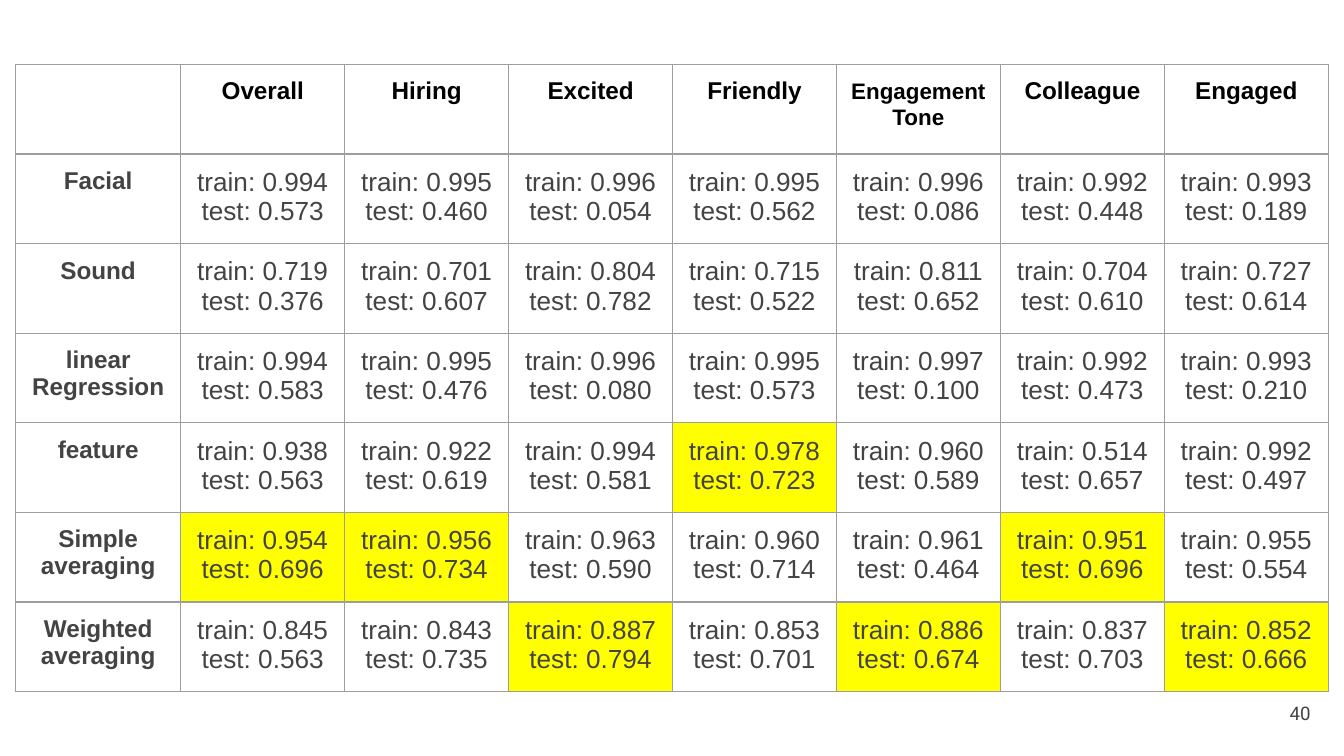
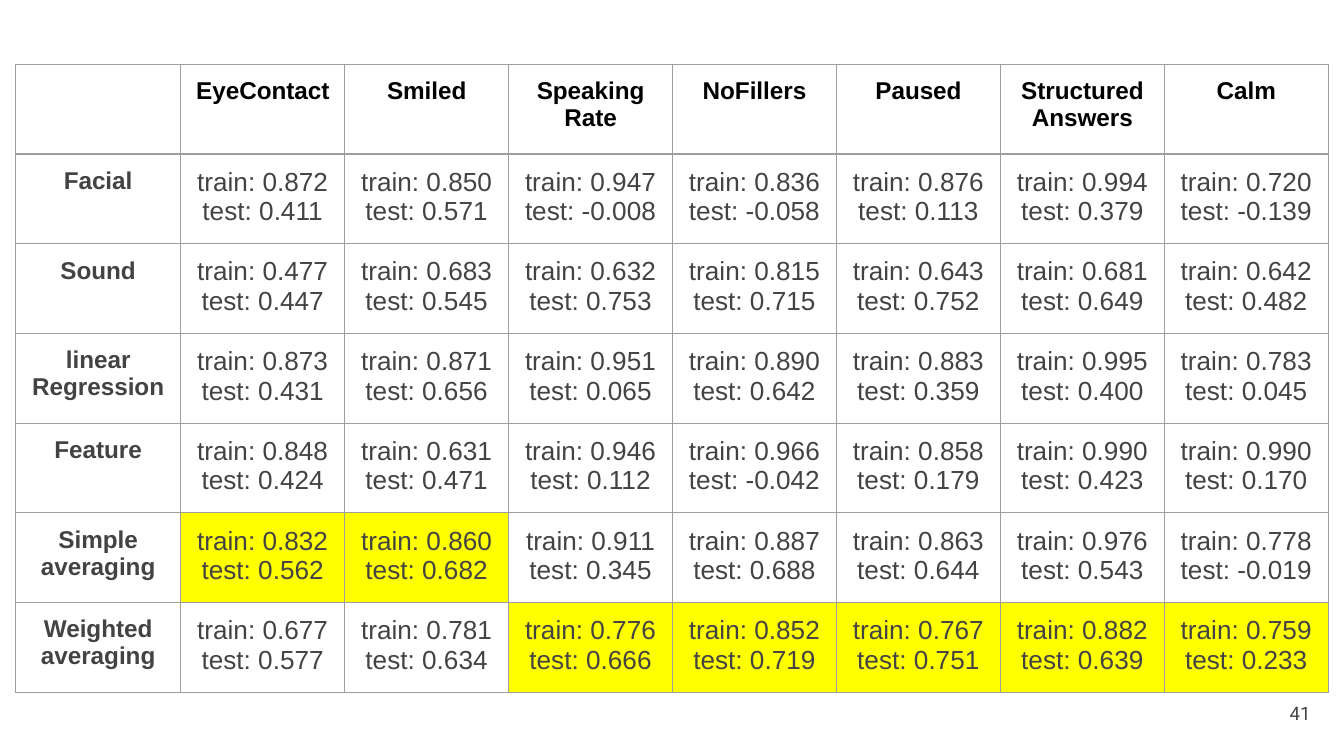
from lxml import etree
from pptx import Presentation
from pptx.dml.color import RGBColor
from pptx.enum.text import MSO_ANCHOR, PP_ALIGN
from pptx.oxml.ns import qn
from pptx.util import Inches, Pt

CENTER, RIGHT = PP_ALIGN.CENTER, PP_ALIGN.RIGHT
MIDDLE = MSO_ANCHOR.MIDDLE

COLORS = {"heading": "000000", "text": "434343", "grid": "9E9E9E", "best": "FFFF00"}
TABLE_FONT, NUMBER_FONT = "Arial", "Roboto"
HEADING_SIZE, SMALL_HEADING_SIZE, SCORE_SIZE, NUMBER_SIZE = 13, 12, 14, 10
SMALL_HEADING = "Engagement Tone"

SLIDE_WIDTH = 10
SLIDE_HEIGHT = SLIDE_WIDTH * 9 / 16
TABLE_TOP = 0.48
MODEL_WIDTH, TRAIT_WIDTH, ROW_HEIGHT = 1.23, 1.22, 2 / 3
MARGIN = Inches(0.1)
GRID_WIDTH = Pt(0.75)

# Each score is (train, test); "best" names the highlighted model of each trait.
RESULTS = [
    {
        "number": 40,
        "traits": ["Overall", "Hiring", "Excited", "Friendly",
                   "Engagement Tone", "Colleague", "Engaged"],
        "best": ["Simple averaging", "Simple averaging", "Weighted averaging", "feature",
                 "Weighted averaging", "Simple averaging", "Weighted averaging"],
        "scores": {
            "Facial": [(0.994, 0.573), (0.995, 0.460), (0.996, 0.054), (0.995, 0.562),
                       (0.996, 0.086), (0.992, 0.448), (0.993, 0.189)],
            "Sound": [(0.719, 0.376), (0.701, 0.607), (0.804, 0.782), (0.715, 0.522),
                      (0.811, 0.652), (0.704, 0.610), (0.727, 0.614)],
            "linear Regression": [(0.994, 0.583), (0.995, 0.476), (0.996, 0.080), (0.995, 0.573),
                                  (0.997, 0.100), (0.992, 0.473), (0.993, 0.210)],
            "feature": [(0.938, 0.563), (0.922, 0.619), (0.994, 0.581), (0.978, 0.723),
                        (0.960, 0.589), (0.514, 0.657), (0.992, 0.497)],
            "Simple averaging": [(0.954, 0.696), (0.956, 0.734), (0.963, 0.590), (0.960, 0.714),
                                 (0.961, 0.464), (0.951, 0.696), (0.955, 0.554)],
            "Weighted averaging": [(0.845, 0.563), (0.843, 0.735), (0.887, 0.794), (0.853, 0.701),
                                   (0.886, 0.674), (0.837, 0.703), (0.852, 0.666)],
        },
    },
    {
        "number": 41,
        "traits": ["EyeContact", "Smiled", "Speaking Rate", "NoFillers",
                   "Paused", "Structured Answers", "Calm"],
        "best": ["Simple averaging"] * 2 + ["Weighted averaging"] * 5,
        "scores": {
            "Facial": [(0.872, 0.411), (0.850, 0.571), (0.947, -0.008), (0.836, -0.058),
                       (0.876, 0.113), (0.994, 0.379), (0.720, -0.139)],
            "Sound": [(0.477, 0.447), (0.683, 0.545), (0.632, 0.753), (0.815, 0.715),
                      (0.643, 0.752), (0.681, 0.649), (0.642, 0.482)],
            "linear Regression": [(0.873, 0.431), (0.871, 0.656), (0.951, 0.065), (0.890, 0.642),
                                  (0.883, 0.359), (0.995, 0.400), (0.783, 0.045)],
            "Feature": [(0.848, 0.424), (0.631, 0.471), (0.946, 0.112), (0.966, -0.042),
                        (0.858, 0.179), (0.990, 0.423), (0.990, 0.170)],
            "Simple averaging": [(0.832, 0.562), (0.860, 0.682), (0.911, 0.345), (0.887, 0.688),
                                 (0.863, 0.644), (0.976, 0.543), (0.778, -0.019)],
            "Weighted averaging": [(0.677, 0.577), (0.781, 0.634), (0.776, 0.666), (0.852, 0.719),
                                   (0.767, 0.751), (0.882, 0.639), (0.759, 0.233)],
        },
    },
]


def write(frame, lines, font_name, size, color, align, bold=False):
    frame.text = "\n".join(lines)
    for paragraph in frame.paragraphs:
        paragraph.alignment = align
        font = paragraph.font
        font.name, font.size, font.bold = font_name, Pt(size), bold
        font.color.rgb = RGBColor.from_string(COLORS[color])


def shrink_words(paragraph):
    """Set the words in the small heading size; the space keeps the full size."""
    first, last = paragraph.text.split(" ")
    paragraph.runs[0].text = first
    paragraph.add_run().text = " "
    paragraph.add_run().text = last
    for word in paragraph.runs[::2]:
        word.font.size = Pt(SMALL_HEADING_SIZE)


def set_margins(holder):
    holder.margin_left = holder.margin_right = MARGIN
    holder.margin_top = holder.margin_bottom = MARGIN


def format_cell(cell, highlighted=False):
    set_margins(cell)
    properties = cell._tc.get_or_add_tcPr()
    for side in ("a:lnL", "a:lnR", "a:lnT", "a:lnB"):
        border = etree.SubElement(properties, qn(side), w=str(GRID_WIDTH))
        fill = etree.SubElement(border, qn("a:solidFill"))
        etree.SubElement(fill, qn("a:srgbClr"), val=COLORS["grid"])
    if highlighted:
        cell.fill.solid()
        cell.fill.fore_color.rgb = RGBColor.from_string(COLORS["best"])
    else:
        cell.fill.background()


def add_score_table(slide, result):
    traits, scores = result["traits"], result["scores"]
    widths = [MODEL_WIDTH] + [TRAIT_WIDTH] * len(traits)
    row_count = len(scores) + 1
    table_width = sum(widths)
    table = slide.shapes.add_table(
        row_count, len(widths), Inches((SLIDE_WIDTH - table_width) / 2), Inches(TABLE_TOP),
        Inches(table_width), Inches(ROW_HEIGHT * row_count)).table
    table.first_row = table.horz_banding = False
    for column, width in zip(table.columns, widths):
        column.width = Inches(width)
    for row in table.rows:
        row.height = Inches(ROW_HEIGHT)

    format_cell(table.cell(0, 0))
    for c, trait in enumerate(traits, 1):
        heading = table.cell(0, c)
        format_cell(heading)
        write(heading.text_frame, [trait], TABLE_FONT, HEADING_SIZE, "heading", CENTER, bold=True)
        if trait == SMALL_HEADING:
            shrink_words(heading.text_frame.paragraphs[0])
    for r, (model, pairs) in enumerate(scores.items(), 1):
        label = table.cell(r, 0)
        format_cell(label)
        write(label.text_frame, [model], TABLE_FONT, HEADING_SIZE, "text", CENTER, bold=True)
        for c, ((train, test), best) in enumerate(zip(pairs, result["best"]), 1):
            score = table.cell(r, c)
            format_cell(score, highlighted=model == best)
            write(score.text_frame, [f"train: {train:.3f}", f"test: {test:.3f}"],
                  TABLE_FONT, SCORE_SIZE, "text", CENTER)


def add_slide_number(slide, number):
    frame = slide.shapes.add_textbox(
        Inches(9.25), Inches(5.09), Inches(0.6), Inches(0.43)).text_frame
    frame.word_wrap = True
    frame.vertical_anchor = MIDDLE
    set_margins(frame)
    write(frame, [str(number)], NUMBER_FONT, NUMBER_SIZE, "text", RIGHT)


def main():
    deck = Presentation()
    deck.slide_width, deck.slide_height = Inches(SLIDE_WIDTH), Inches(SLIDE_HEIGHT)
    blank_layout = deck.slide_layouts[6]
    for result in RESULTS:
        slide = deck.slides.add_slide(blank_layout)
        add_score_table(slide, result)
        add_slide_number(slide, result["number"])
    deck.save("out.pptx")


if __name__ == "__main__":
    main()
